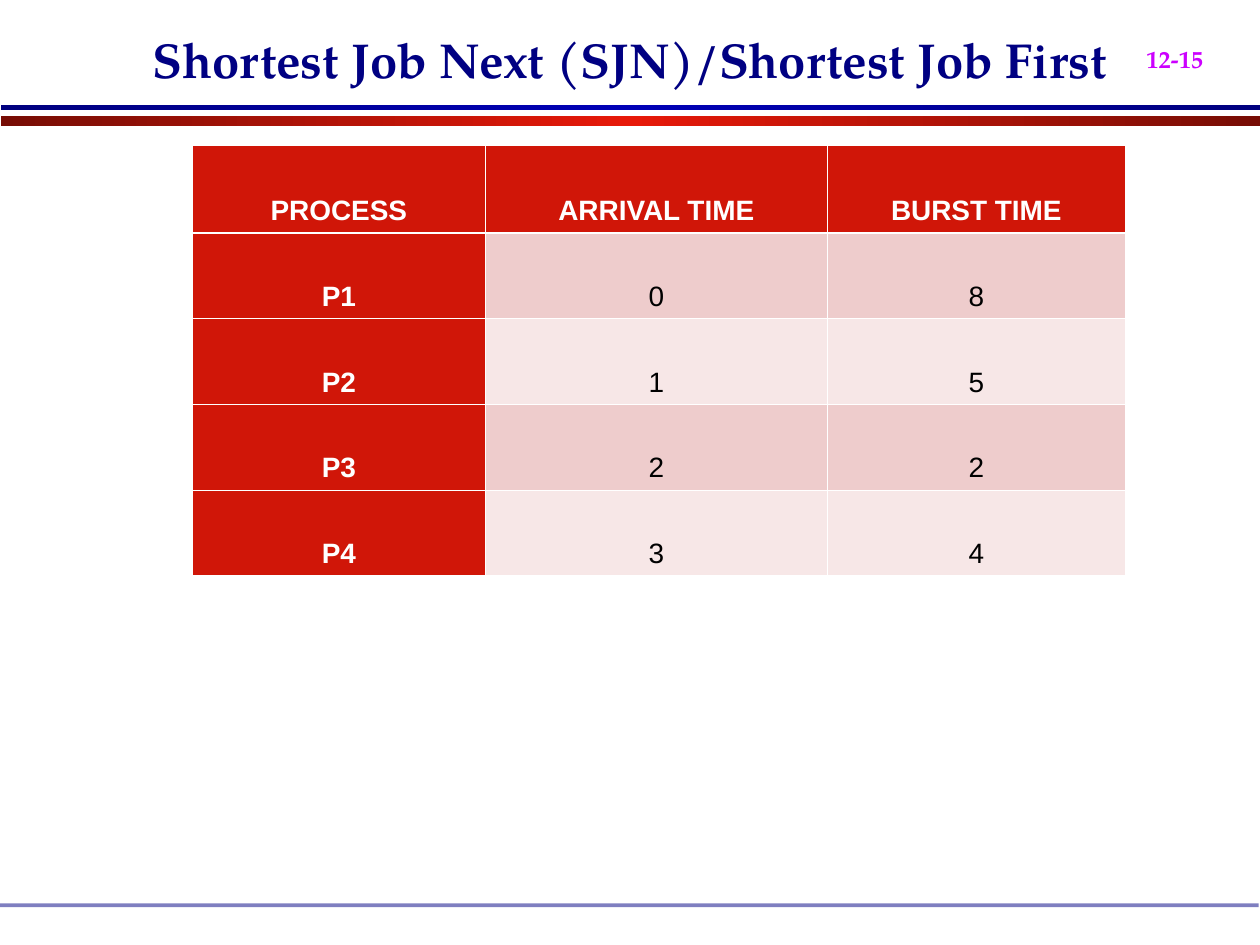
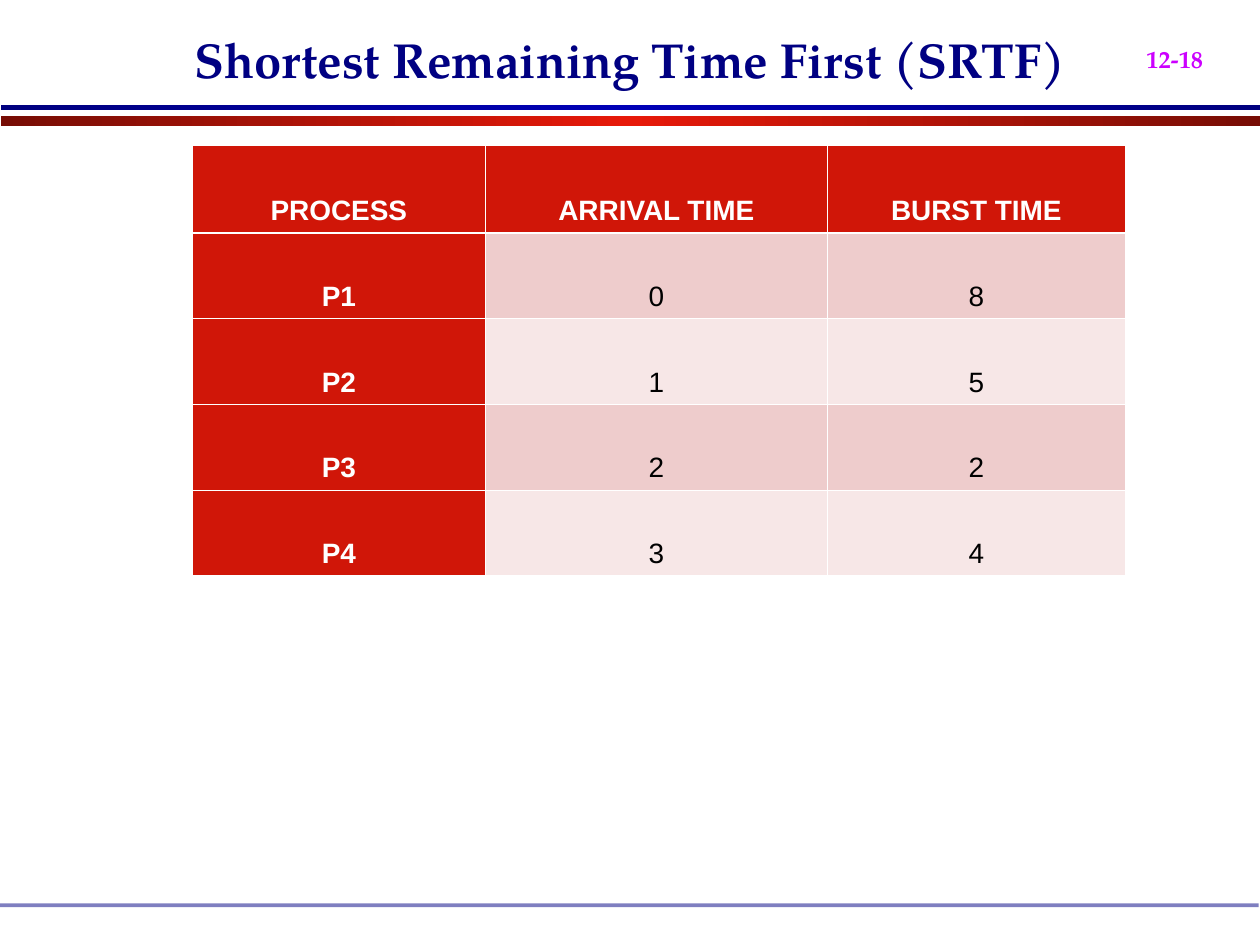
import pptx
import pptx.dml.color
import pptx.enum.shapes
import pptx.enum.text
import pptx.oxml
import pptx.oxml.ns
import pptx.util

SLIDES = [
    ("Shortest Job Next (SJN)/Shortest Job First", "12-15"),
    ("Shortest Remaining Time First (SRTF)", "12-18"),
]
PROCESSES = [
    ("PROCESS", "ARRIVAL TIME", "BURST TIME"),
    ("P1", "0", "8"),
    ("P2", "1", "5"),
    ("P3", "2", "2"),
    ("P4", "3", "4"),
]
BANDS = [
    ((0.01, 0.92, 9.99, 0.08), ("770D05", "E71909", "770D05")),
    ((0.01, 0.83, 9.99, 0.04), ("00007F", "0000B6", "00007F")),
    ((0, 7.17, 9.99, 0.03), ("000082",)),
]
SLIDE_SIZE = (10, 7.5)
TITLE_BOX = (0.75, 0, 8.5, 0.75)
NUMBER_BOX = (9, 0, 1.08, 0.56)
TABLE_CORNER = (1.53, 1.15)
COLUMN_WIDTHS = (2.32, 2.72, 2.36)
ROW_HEIGHTS = (0.7,) + (0.68,) * 4
HEADING_FILL = "D01608"
ROW_FILLS = ("F7E7E7", "EECCCC")
THIN, THICK = 0.45, 1.47

SERIF = "TeX Gyre Pagella"
TITLE_FONT = {"name": SERIF, "size": pptx.util.Pt(28), "bold": True}
NUMBER_FONT = {"name": SERIF, "size": pptx.util.Pt(24), "bold": True}
CELL_FONT = {"name": "Arial", "size": pptx.util.Pt(16)}
CENTER = pptx.enum.text.PP_ALIGN.CENTER
BOTTOM = pptx.enum.text.MSO_ANCHOR.BOTTOM


def color(value):
    return pptx.dml.color.RGBColor.from_string(value)


def inches(values):
    return [pptx.util.Inches(value) for value in values]


def apply(target, values):
    for name, value in values.items():
        setattr(target, name, value)


def style_font(font, values, value):
    apply(font, values)
    font.color.rgb = color(value)


def element(xml):
    return pptx.oxml.parse_xml(xml.replace(" ", f" {pptx.oxml.ns.nsdecls('a')} ", 1))


def add_band(slide, box, colors):
    band = slide.shapes.add_shape(pptx.enum.shapes.MSO_SHAPE.RECTANGLE, *inches(box))
    band.shadow.inherit = False
    band.line.fill.background()
    if len(colors) == 1:
        band.fill.solid()
        band.fill.fore_color.rgb = color(colors[0])
        fill_color = band.fill._xPr.find(".//" + pptx.oxml.ns.qn("a:srgbClr"))
        fill_color.append(element('<a:alpha val="50000"/>'))
        return
    band.fill.gradient()
    band.fill.gradient_angle = 0
    stops = band.fill._xPr.find(".//" + pptx.oxml.ns.qn("a:gsLst"))
    stops.clear()
    for index, value in enumerate(colors):
        position = index * 100000 // (len(colors) - 1)
        stops.append(element(f'<a:gs pos="{position}"><a:srgbClr val="{value}"/></a:gs>'))


def add_title(slide, text):
    title = slide.shapes.title
    apply(title, dict(zip(("left", "top", "width", "height"), inches(TITLE_BOX))))
    title.text_frame.text = text
    title.text_frame.vertical_anchor = BOTTOM
    paragraph = title.text_frame.paragraphs[0]
    paragraph.alignment = CENTER
    style_font(paragraph.runs[0].font, TITLE_FONT, "000082")


def add_number(slide, text):
    frame = slide.shapes.add_textbox(*inches(NUMBER_BOX)).text_frame
    frame.word_wrap = True
    frame.margin_top = pptx.util.Inches(0.13)
    run = frame.paragraphs[0].add_run()
    run.text = text
    style_font(run.font, NUMBER_FONT, "CC00FF")
    run._r.get_or_add_rPr().set("baseline", "-25000")


def format_cell(cell, text, row, column):
    heading = row == 0 or column == 0
    widths = {"L": THIN, "R": THIN,
              "T": THICK if row == 1 else THIN,
              "B": THICK if row == 0 else THIN}
    for side, width in widths.items():
        cell._tc.get_or_add_tcPr().append(element(
            f'<a:ln{side} w="{pptx.util.Pt(width)}"><a:solidFill>'
            f'<a:srgbClr val="FFFFFF"/></a:solidFill></a:ln{side}>'))
    cell.fill.solid()
    cell.fill.fore_color.rgb = color(HEADING_FILL if heading else ROW_FILLS[row % 2])
    margin = pptx.util.Inches(0.15 if row else 0.08)
    apply(cell, {"text": text, "vertical_anchor": BOTTOM,
                 "margin_left": margin, "margin_right": margin})
    paragraph = cell.text_frame.paragraphs[0]
    apply(paragraph, {"alignment": CENTER, "line_spacing": 2.0})
    style_font(paragraph.runs[0].font, {**CELL_FONT, "bold": heading},
               "FFFFFF" if heading else "000000")


def add_process_table(slide):
    size = (sum(COLUMN_WIDTHS), sum(ROW_HEIGHTS))
    table = slide.shapes.add_table(
        len(PROCESSES), len(COLUMN_WIDTHS), *inches(TABLE_CORNER + size)).table
    for column, width in zip(table.columns, inches(COLUMN_WIDTHS)):
        column.width = width
    for row, height in zip(table.rows, inches(ROW_HEIGHTS)):
        row.height = height
    for row, values in enumerate(PROCESSES):
        for column, text in enumerate(values):
            format_cell(table.cell(row, column), text, row, column)


def main():
    presentation = pptx.Presentation()
    presentation.slide_width, presentation.slide_height = inches(SLIDE_SIZE)
    for title, number in SLIDES:
        slide = presentation.slides.add_slide(presentation.slide_layouts[5])
        for box, colors in BANDS:
            add_band(slide, box, colors)
        add_number(slide, number)
        add_title(slide, title)
        add_process_table(slide)
    presentation.save("out.pptx")


if __name__ == "__main__":
    main()
